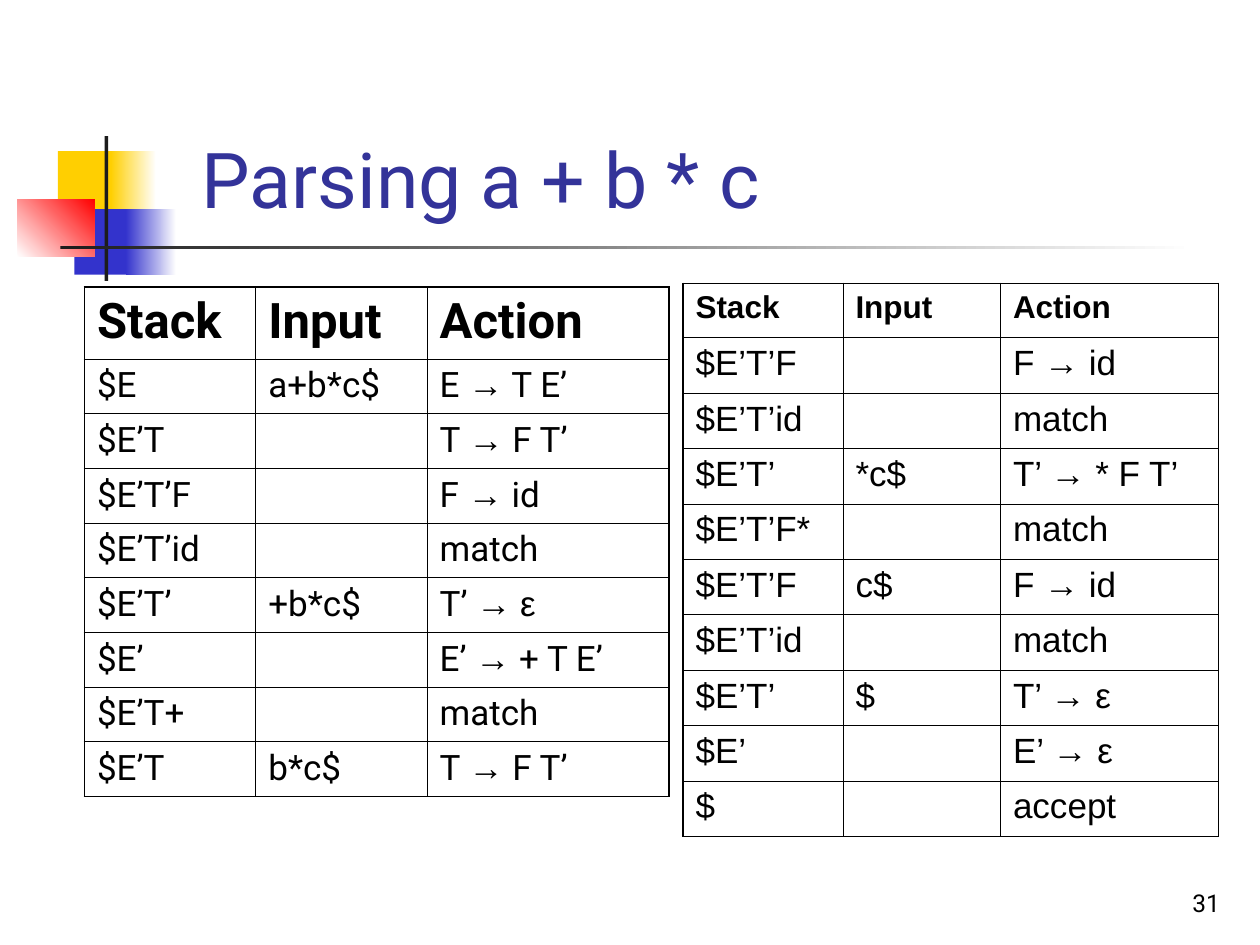
from itertools import groupby
from lxml.etree import SubElement as Sub
from pptx import Presentation
from pptx.dml.color import RGBColor as RGB
from pptx.enum.shapes import MSO_SHAPE as Shape
from pptx.enum.text import MSO_ANCHOR as Anchor, PP_ALIGN as Align
from pptx.oxml.ns import qn
from pptx.util import Inches, Pt

HUES = {
    "gold": "FFCF01", "blue": "3333CC", "red": "FF0000", "dark": "1C1C1C",
    "white": "FFFFFF", "black": "000000", "title": "333399",
}


def write(frame, text, size, font="Roboto", hue="black", bold=False, align=Align.LEFT):
    frame.word_wrap = True
    para = frame.paragraphs[0]
    para.alignment = align
    for symbol, chars in groupby(text, lambda c: c in "→ε" or font == "Arial"):
        run = para.add_run()
        run.text = "".join(chars)
        run.font.name = "Arial" if symbol else font
        run.font.size = Pt(size)
        run.font.bold = bold
        run.font.color.rgb = RGB.from_string(HUES[hue])


def border(cell, side, width):
    line = Sub(cell._tc.get_or_add_tcPr(), qn(f"a:ln{side}"), w=str(Pt(width)))
    fill = Sub(line, qn("a:solidFill"))
    Sub(fill, qn("a:srgbClr"), val=HUES["black"])


deck = Presentation()
deck.slide_width, deck.slide_height = Inches(10), Inches(7.5)
slide = deck.slides.add_slide(deck.slide_layouts[5])

blocks = [
    (0.46, 1.2, 0.48, 0.52, ["gold"], 0),
    (0.88, 1.2, 0.36, 0.52, ["gold", "white"], 0),
    (0.59, 1.66, 0.46, 0.52, ["blue"], 0),
    (1, 1.66, 0.4, 0.52, ["blue", "white"], 0),
    (0.14, 1.58, 0.61, 0.46, ["white", "red"], 45),
    (0.83, 1.08, 0.03, 1.15, ["dark"], 0),
    (0.48, 1.95, 9, 0.03, ["dark", "white"], 0),
]
for left, top, wide, high, hues, angle in blocks:
    block = slide.shapes.add_shape(
        Shape.RECTANGLE, Inches(left), Inches(top), Inches(wide), Inches(high))
    block.shadow.inherit = False
    block.line.fill.background()
    if len(hues) == 1:
        block.fill.solid()
        block.fill.fore_color.rgb = RGB.from_string(HUES[hues[0]])
    else:
        block.fill.gradient()
        block.fill.gradient_angle = angle
        for stop, hue in zip(block.fill.gradient_stops, hues):
            stop.color.rgb = RGB.from_string(HUES[hue])

title = slide.shapes.title
title.left, title.top = Inches(1.5), Inches(0.58)
title.width, title.height = Inches(5.08), Inches(1.25)
title.text_frame.vertical_anchor = Anchor.BOTTOM
write(title.text_frame, "Parsing a + b * c", 44, hue="title")

number = slide.shapes.add_textbox(Inches(7.7), Inches(6.83), Inches(2.08), Inches(0.5))
number.text_frame.vertical_anchor = Anchor.BOTTOM
write(number.text_frame, "31", 14, align=Align.RIGHT)

head = ("Stack", "Input", "Action")
start = [
    head,
    ("$E", "a+b*c$", "E → T E’"),
    ("$E’T", "", "T → F T’"),
    ("$E’T’F", "", "F → id"),
    ("$E’T’id", "", "match"),
    ("$E’T’", "+b*c$", "T’ → ε"),
    ("$E’", "", "E’ → + T E’"),
    ("$E’T+", "", "match"),
    ("$E’T", "b*c$", "T → F T’"),
]
finish = [
    head,
    ("$E’T’F", "", "F → id"),
    ("$E’T’id", "", "match"),
    ("$E’T’", "*c$", "T’ → * F T’"),
    ("$E’T’F*", "", "match"),
    ("$E’T’F", "c$", "F → id"),
    ("$E’T’id", "", "match"),
    ("$E’T’", "$", "T’ → ε"),
    ("$E’", "", "E’ → ε"),
    ("$", "", "accept"),
]
tables = [
    (start, 0.67, 2.28, (1.36, 1.36, 1.92), 0.57, 0.43, 28, "Roboto"),
    (finish, 5.42, 2.25, (1.27, 1.25, 1.73), 0.43, 0.44, 18, "Arial"),
]
for rows, left, top, widths, first, step, size, font in tables:
    last = len(rows) - 1
    table = slide.shapes.add_table(
        len(rows), 3, Inches(left), Inches(top),
        Inches(sum(widths)), Inches(first + step * last)).table
    table.first_row = table.horz_banding = False
    for col, width in zip(table.columns, widths):
        col.width = Inches(width)
    for r, row in enumerate(rows):
        table.rows[r].height = Inches(step if r else first)
        for c, text in enumerate(row):
            cell = table.cell(r, c)
            edges = {"L": c == 0, "R": c == 2, "T": r == 0, "B": r == last}
            for side, outer in edges.items():
                border(cell, side, 1.08 if outer else 0.45)
            cell.fill.background()
            write(cell.text_frame, text, 20 if r else size, font, bold=r == 0)

deck.save("out.pptx")
